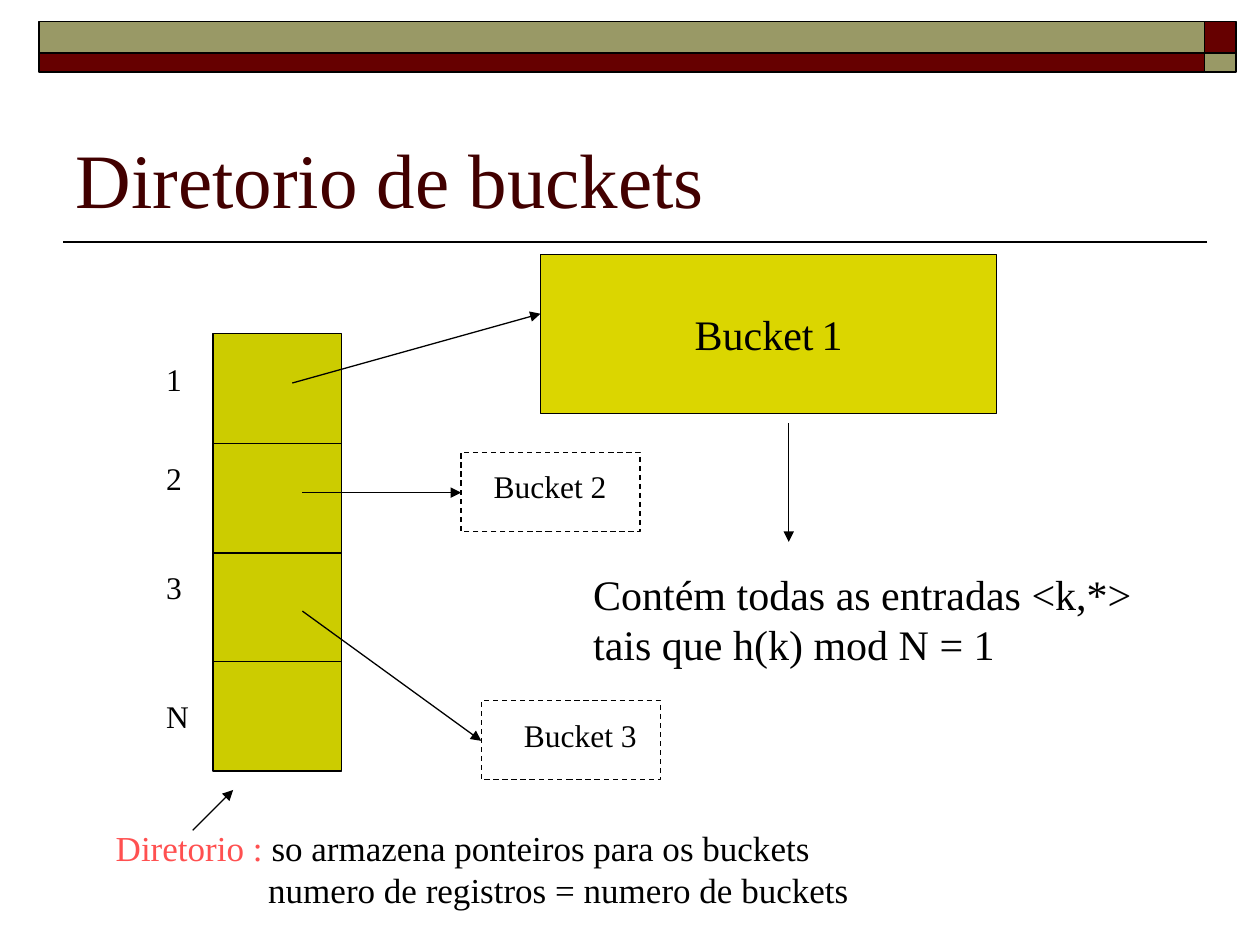
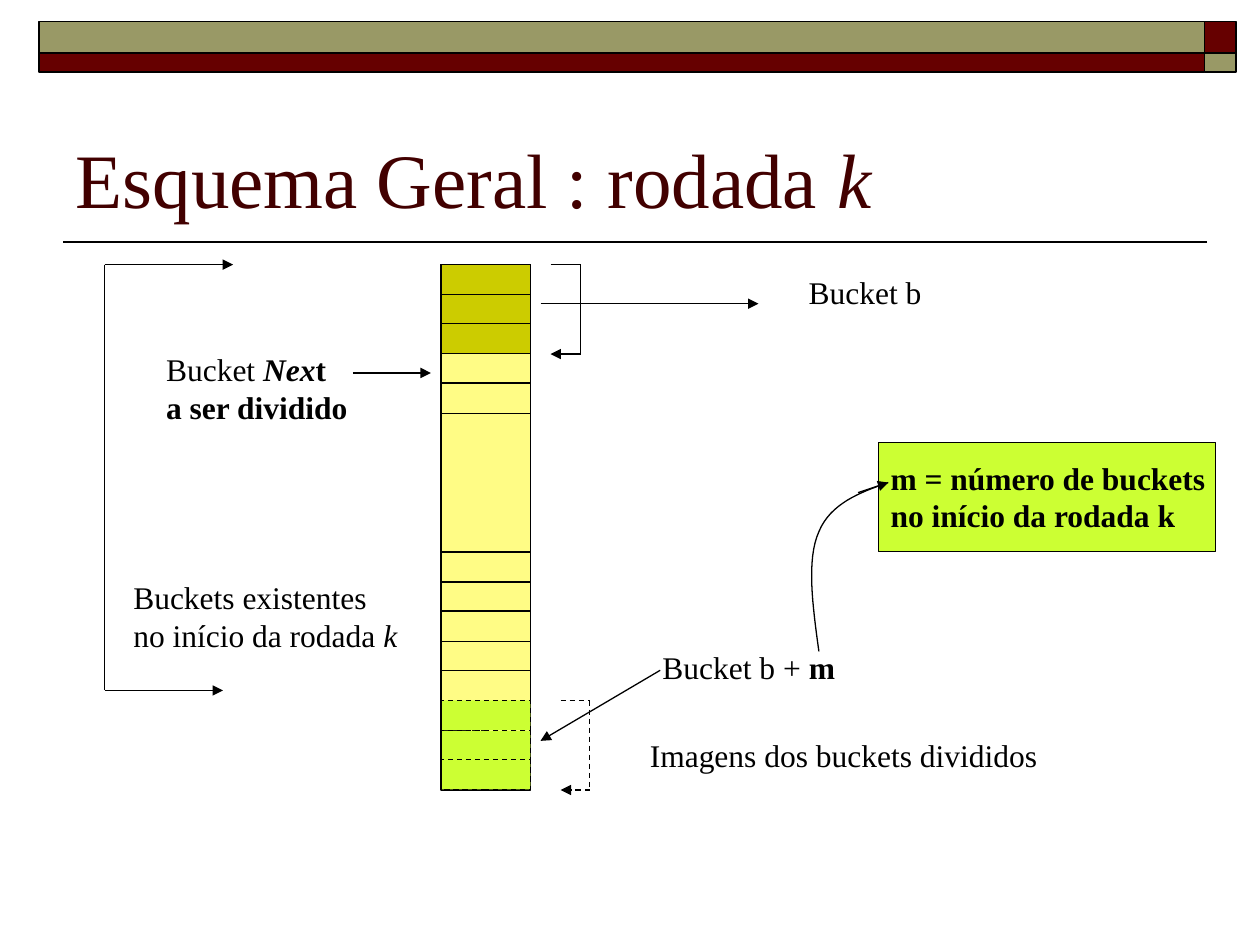
from lxml.etree import SubElement
from pptx import Presentation
from pptx.dml.color import RGBColor
from pptx.enum.dml import MSO_LINE
from pptx.enum.shapes import MSO_CONNECTOR, MSO_SHAPE
from pptx.enum.text import MSO_ANCHOR, MSO_AUTO_SIZE, PP_ALIGN
from pptx.oxml.ns import qn
from pptx.util import Pt

SCALE = 9144  # EMU per px, 100 px to the inch
FONT = "Times New Roman"
COLORS = {
    "black": "000000", "title": "420000", "maroon": "660000", "khaki": "999966",
    "olive": "CCCC00", "bucket": "DBD600", "yellow": "FFFC85", "lime": "CCFF33",
    "coral": "FF5050",
}
BOLD = {"bold": True}
ITALIC = {"italic": True}


def px(*values):
    return [round(v * SCALE) for v in values]


def rgb(name):
    return RGBColor.from_string(COLORS[name])


def format_line(line, width, dashed):
    line.color.rgb = rgb("black")
    line.width = Pt(width)
    if dashed:
        line.dash_style = MSO_LINE.DASH


def add_rect(s, x, y, w, h, fill=None, width=0.75, dashed=False):
    sp = s.shapes.add_shape(MSO_SHAPE.RECTANGLE, *px(x, y, w, h))
    sp.shadow.inherit = False
    if fill:
        sp.fill.solid()
        sp.fill.fore_color.rgb = rgb(fill)
    else:
        sp.fill.background()
    format_line(sp.line, width, dashed)
    return sp


def add_line(s, start, end, arrow=False, width=0.75, dashed=False):
    sp = s.shapes.add_connector(MSO_CONNECTOR.STRAIGHT, *px(*start, *end))
    format_line(sp.line, width, dashed)
    if arrow:
        SubElement(sp.line._get_or_add_ln(), qn("a:tailEnd"), type="triangle")
    SubElement(sp.element.spPr, qn("a:effectLst"))


def add_bracket(s, points, arrow_at, dashed=False):
    """Joins the points by lines; segments listed in arrow_at get an arrowhead."""
    for i, (start, end) in enumerate(zip(points, points[1:])):
        add_line(s, start, end, arrow=i in arrow_at, dashed=dashed)


def add_curve(s, *segments, steps=16):
    """Draws an open outline through cubic Bezier segments of four points."""
    points = [
        tuple(a * (1 - t) ** 3 + 3 * b * t * (1 - t) ** 2 + 3 * c * t * t * (1 - t) + d * t ** 3
              for a, b, c, d in zip(*segment))
        for segment in segments
        for t in (i / steps for i in range(steps + 1))
    ]
    builder = s.shapes.build_freeform(*px(*points[0]))
    builder.add_line_segments([px(*point) for point in points[1:]], close=False)
    sp = builder.convert_to_shape()
    sp.shadow.inherit = False
    sp.fill.background()
    format_line(sp.line, 0.75, False)


def write(tf, paragraphs, size=18, color="black", align=PP_ALIGN.LEFT):
    """Fills tf; a paragraph is a string or a list of (text, format) runs."""
    for i, runs in enumerate(paragraphs):
        p = tf.add_paragraph() if i else tf.paragraphs[0]
        p.alignment = align
        for text, extra in [(runs, {})] if isinstance(runs, str) else runs:
            r = p.add_run()
            r.text = text
            style = {"name": FONT, "size": size, "color": color, **extra}
            r.font.color.rgb = rgb(style.pop("color"))
            style["size"] = Pt(style["size"])
            for key, value in style.items():
                setattr(r.font, key, value)


def add_label(s, x, y, w, h, *paragraphs, size=18):
    sp = s.shapes.add_textbox(*px(x, y, w, h))
    sp.text_frame.word_wrap = False
    sp.text_frame.auto_size = MSO_AUTO_SIZE.SHAPE_TO_FIT_TEXT
    write(sp.text_frame, paragraphs, size)
    return sp


def add_titled_slide(prs, *title_runs):
    s = prs.slides.add_slide(prs.slide_layouts[5])
    add_line(s, (958, 192), (50, 192), width=1)
    for x, y, w, h, fill in [
        (956, 17, 25, 25, "maroon"), (31, 17, 925, 25, "khaki"),
        (31, 42, 925, 15, "maroon"), (956, 42, 25, 15, "khaki"),
    ]:
        add_rect(s, x, y, w, h, fill, width=1)
    title = s.shapes.title
    title.left, title.top, title.width, title.height = px(50, 58, 900, 125)
    tf = title.text_frame
    tf.auto_size = MSO_AUTO_SIZE.NONE
    tf.vertical_anchor = MSO_ANCHOR.BOTTOM
    write(tf, [title_runs], 44, "title")
    return s


def add_dividers(s, x, w, ys):
    for y in ys:
        add_line(s, (x, y), (x + w, y))


def build_directory(prs):
    s = add_titled_slide(prs, ("Diretorio de buckets", {}))
    x, y, w, h = 169, 265, 102, 347
    add_rect(s, x, y, w, h, "olive")
    add_dividers(s, x, w, [y + round(h * i / 4) for i in (1, 2, 3)])
    for text, top, width in [("1", 281, 32), ("2", 359, 32), ("3", 446, 32), ("N", 548, 38)]:
        add_label(s, 122, top, width, 40, text)

    sp = add_rect(s, 429, 202, 362, 126, "bucket")
    sp.text_frame.word_wrap = False
    sp.text_frame.vertical_anchor = MSO_ANCHOR.MIDDLE
    write(sp.text_frame, [[("Bucket", {}), (" ", {"size": 18}), ("1", {})]],
          24, align=PP_ALIGN.CENTER)
    for text, left, top, text_left in [("Bucket 2", 366, 359, 382), ("Bucket 3", 382, 556, 406)]:
        add_rect(s, left, top, 142, 63, dashed=True)
        add_label(s, text_left, top + 7, 112, 40, text)

    for start, end in [
        ((232, 304), (429, 249)), ((240, 391), (366, 391)), ((240, 485), (382, 588)),
        ((626, 336), (626, 430)), ((153, 659), (185, 627)),
    ]:
        add_line(s, start, end, arrow=True)

    add_label(s, 461, 446, 455, 90, "Contém todas as entradas <k,*>",
              "tais que h(k) mod N = 1", size=24)
    note = add_label(
        s, 82, 651, 602, 77,
        [("Diretorio :", {"color": "coral"}), (" so armazena ponteiros para os buckets", {})],
        "numero de registros = numero de buckets", size=20)
    note.element.txBody.p_lst[1].get_or_add_pPr().set("marL", str(121 * SCALE))


def build_round(prs):
    s = add_titled_slide(prs, ("Esquema Geral : rodada ", {}), ("k", ITALIC))
    x, w, cell = 350, 71, 23.62
    upper = [round(210 + cell * i) for i in range(6)]
    lower = [round(438 + cell * i) for i in range(9)]
    add_rect(s, x, upper[0], w, lower[-1] - upper[0], "yellow")
    add_dividers(s, x, w, upper[4:] + lower[:5])
    for y in upper[:3]:
        add_rect(s, x, y, w, cell, "olive")
    for y in lower[5:8]:
        add_rect(s, x, y, w, cell, "lime", dashed=True)
    add_line(s, (x, lower[5]), (x, lower[-1]))

    add_bracket(s, [(437, 210), (461, 210), (461, 281), (437, 281)], [2])
    add_bracket(s, [(445, 556), (468, 556), (468, 627), (445, 627)], [2], dashed=True)
    add_bracket(s, [(83, 210), (83, 548), (177, 548)], [1])

    add_rect(s, 697, 351, 268, 87, "lime")
    add_curve(s, [(705, 383), (682, 391), (659, 400), (650, 422)],
              [(650, 422), (640, 444), (645, 481), (650, 517)])
    for start, end in [
        ((83, 210), (185, 210)), ((280, 296), (342, 296)), ((429, 241), (602, 241)),
        ((524, 532), (429, 588)), ((681, 391), (705, 383)),
    ]:
        add_line(s, start, end, arrow=True)

    add_label(s, 122, 273, 164, 70,
              [("Bucket ", {}), ("Nex", BOLD | ITALIC), ("t", BOLD)],
              [("a ser dividido", BOLD)])
    add_label(s, 96, 454, 236, 70, "Buckets existentes",
              [("no início da rodada", {}), (" k", ITALIC)])
    add_label(s, 632, 212, 112, 40, "Bucket b")
    add_label(s, 516, 509, 160, 40, [("Bucket b + ", {}), ("m", BOLD)])
    add_label(s, 506, 579, 330, 40, "Imagens dos buckets divididos")
    add_label(s, 697, 359, 276, 70, [("m = número de buckets", BOLD)],
              [("no início da rodada k", BOLD)])


def main():
    prs = Presentation()
    prs.slide_width, prs.slide_height = px(1000, 750)
    build_directory(prs)
    build_round(prs)
    prs.save("out.pptx")


if __name__ == "__main__":
    main()
